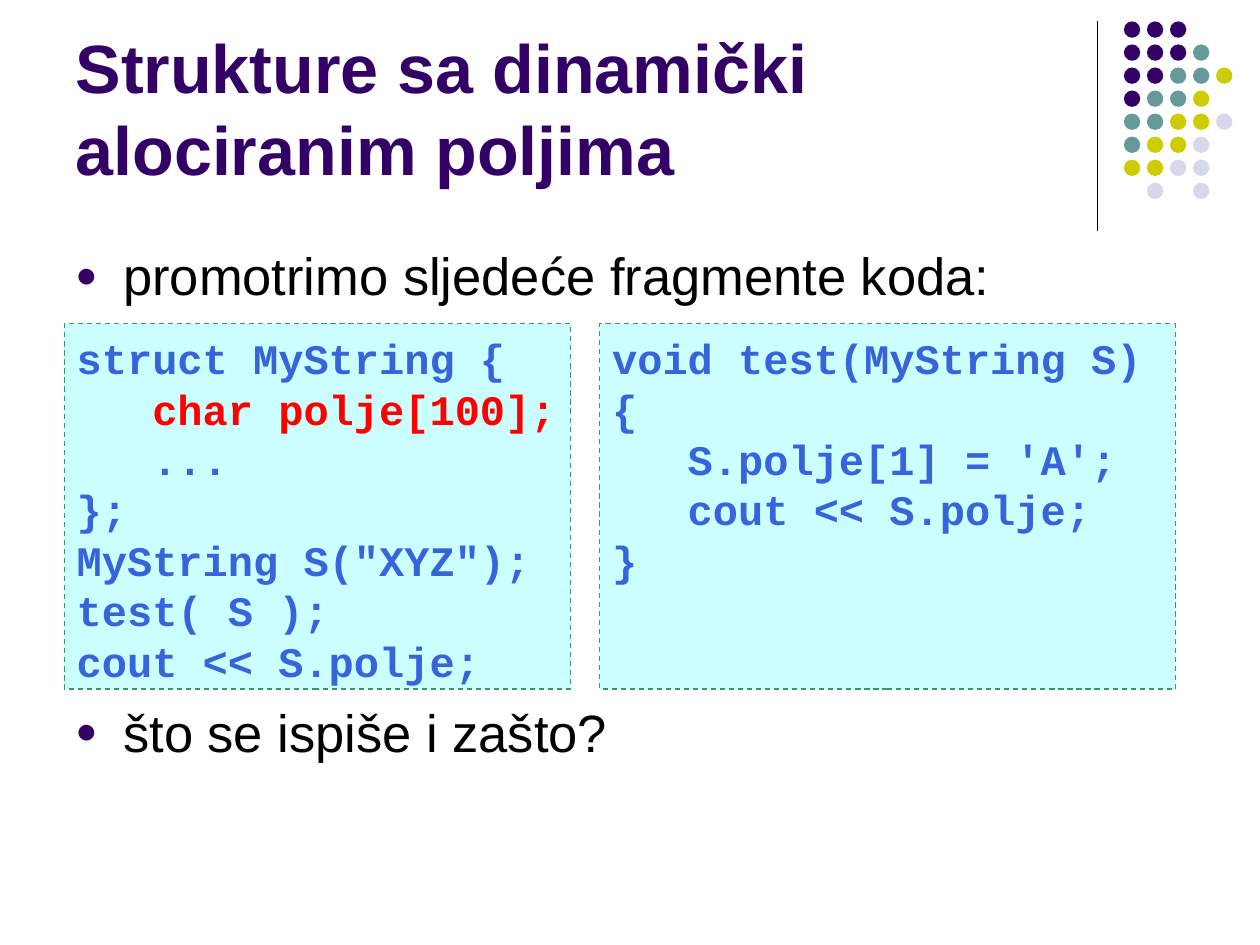
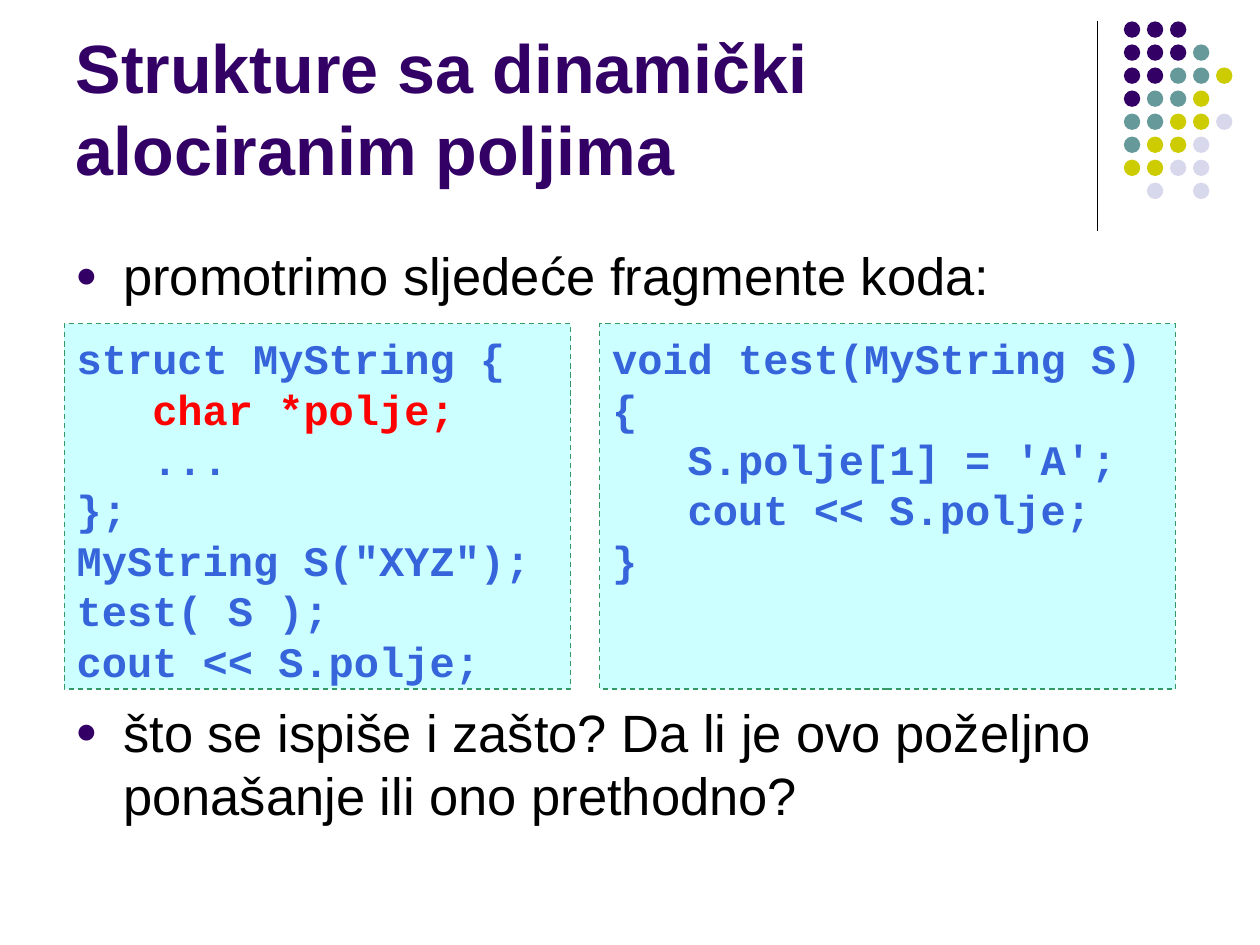
from lxml import etree
from pptx import Presentation
from pptx import util as u
from pptx.dml.color import RGBColor
from pptx.enum import dml, shapes, text
from pptx.oxml import ns

PLUM = RGBColor(0x33, 0x00, 0x66)
TEAL = RGBColor(0x66, 0x99, 0x99)
LIME = RGBColor(0xCC, 0xCC, 0x00)
MIST = RGBColor(0xD8, 0xD8, 0xEC)
BLACK = RGBColor(0x00, 0x00, 0x00)
AQUA = RGBColor(0xCC, 0xFF, 0xFF)
GREEN = RGBColor(0x33, 0x99, 0x66)
BLUE = RGBColor(0x35, 0x64, 0xDB)
RED = RGBColor(0xFF, 0x00, 0x00)

SANS, MONO = "Arial", "Courier New"
TINTS = {"p": PLUM, "t": TEAL, "l": LIME, "m": MIST}
DOTS = ["ppp", "pppt", "ppttl", "pttl", "ttllm", "tllm", "llmm", " m m"]

TITLE = "Strukture sa dinamički alociranim poljima"
INTRO = "promotrimo sljedeće fragmente koda:"
TEST = ["void test(MyString S)", "{", "   S.polje[1] = 'A';",
        "   cout << S.polje;", "}"]
CASES = [
    ("char polje[100];", "što se ispiše i zašto?"),
    ("char *polje;", "što se ispiše i zašto? Da li je ovo poželjno "
                     "ponašanje ili ono prethodno?"),
]


def box(*sides):
    return [u.Inches(side) for side in sides]


class Deck:
    def __init__(self):
        self.prs = Presentation()
        self.prs.slide_width, self.prs.slide_height = box(10, 7.5)

    def start(self, title):
        """Add a slide with its title, side rule and dots."""
        self.slide = self.prs.slides.add_slide(self.prs.slide_layouts[5])
        self.items = self.slide.shapes
        self.rule()
        self.dots()
        head = self.items.title
        head.left, head.top, head.width, head.height = box(0.5, 0.13, 8.25, 1.42)
        frame = head.text_frame
        frame.text = title
        frame.auto_size = text.MSO_AUTO_SIZE.NONE
        frame.vertical_anchor = text.MSO_ANCHOR.BOTTOM
        self.style(frame.paragraphs[0], SANS, 39, PLUM, True)

    def style(self, para, face, size, tint, bold=False):
        para.alignment = text.PP_ALIGN.LEFT
        para.line_spacing = u.Pt(1.2 * size)
        font = para.font
        font.name, font.size, font.bold = face, u.Pt(size), bold
        font.color.rgb = tint

    def rule(self):
        line = self.items.add_connector(
            shapes.MSO_CONNECTOR.STRAIGHT, *box(8.71, 0.17, 8.71, 1.83))
        line.line.color.rgb = BLACK
        line.line.width = u.Pt(0.75)
        etree.SubElement(line._element.spPr, ns.qn("a:effectLst"))

    def dots(self):
        left, top, size = box(8.92, 0.17, 0.13)
        step = u.Inches(1.28) // (len(DOTS) - 1)
        for row, marks in enumerate(DOTS):
            for col, mark in enumerate(marks):
                if mark == " ":
                    continue
                dot = self.items.add_shape(
                    shapes.MSO_SHAPE.OVAL, left + col * step,
                    top + row * step, size, size)
                dot.shadow.inherit = False
                dot.fill.solid()
                dot.fill.fore_color.rgb = TINTS[mark]
                dot.line.fill.background()

    def bullet(self, para):
        props = para._p.get_or_add_pPr()
        props.set("marL", str(u.Inches(0.38)))
        props.set("indent", str(-u.Inches(0.38)))
        tint = etree.SubElement(props, ns.qn("a:buClr"))
        etree.SubElement(tint, ns.qn("a:srgbClr"), val=str(PLUM))
        etree.SubElement(props, ns.qn("a:buSzPct"), val="70000")
        etree.SubElement(props, ns.qn("a:buFont"), typeface=SANS)
        etree.SubElement(props, ns.qn("a:buChar"), char="●")

    def body(self, points, gap):
        frame = self.items.add_textbox(*box(0.5, 1.88, 9, 4.82)).text_frame
        frame.word_wrap = True
        frame.text = "\n".join(points)
        for num, para in enumerate(frame.paragraphs):
            self.bullet(para)
            self.style(para, SANS, 30, BLACK)
            if num:
                para.space_before = u.Pt(gap)

    def code(self, left, width, lines, hot=None):
        """Draw a code panel; the line numbered hot is red."""
        panel = self.items.add_shape(
            shapes.MSO_SHAPE.RECTANGLE, *box(left, 2.57, width, 2.9))
        panel.shadow.inherit = False
        panel.fill.solid()
        panel.fill.fore_color.rgb = AQUA
        panel.line.color.rgb = GREEN
        panel.line.width = u.Pt(0.75)
        panel.line.dash_style = dml.MSO_LINE.DASH
        frame = panel.text_frame
        frame.word_wrap = True
        frame.vertical_anchor = text.MSO_ANCHOR.TOP
        frame.margin_top = u.Inches(0.07)
        frame.text = "\n".join(lines)
        for num, para in enumerate(frame.paragraphs):
            self.style(para, MONO, 24, RED if num == hot else BLUE, True)


def main():
    deck = Deck()
    for field, query in CASES:
        deck.start(TITLE)
        deck.body([INTRO, query], gap=225)
        deck.code(0.51, 4.02, [
            "struct MyString {", "   " + field, "   ...", "};",
            'MyString S("XYZ");', "test( S );", "cout << S.polje;"], hot=1)
        deck.code(4.76, 4.57, TEST)
    deck.prs.save("out.pptx")


if __name__ == "__main__":
    main()
